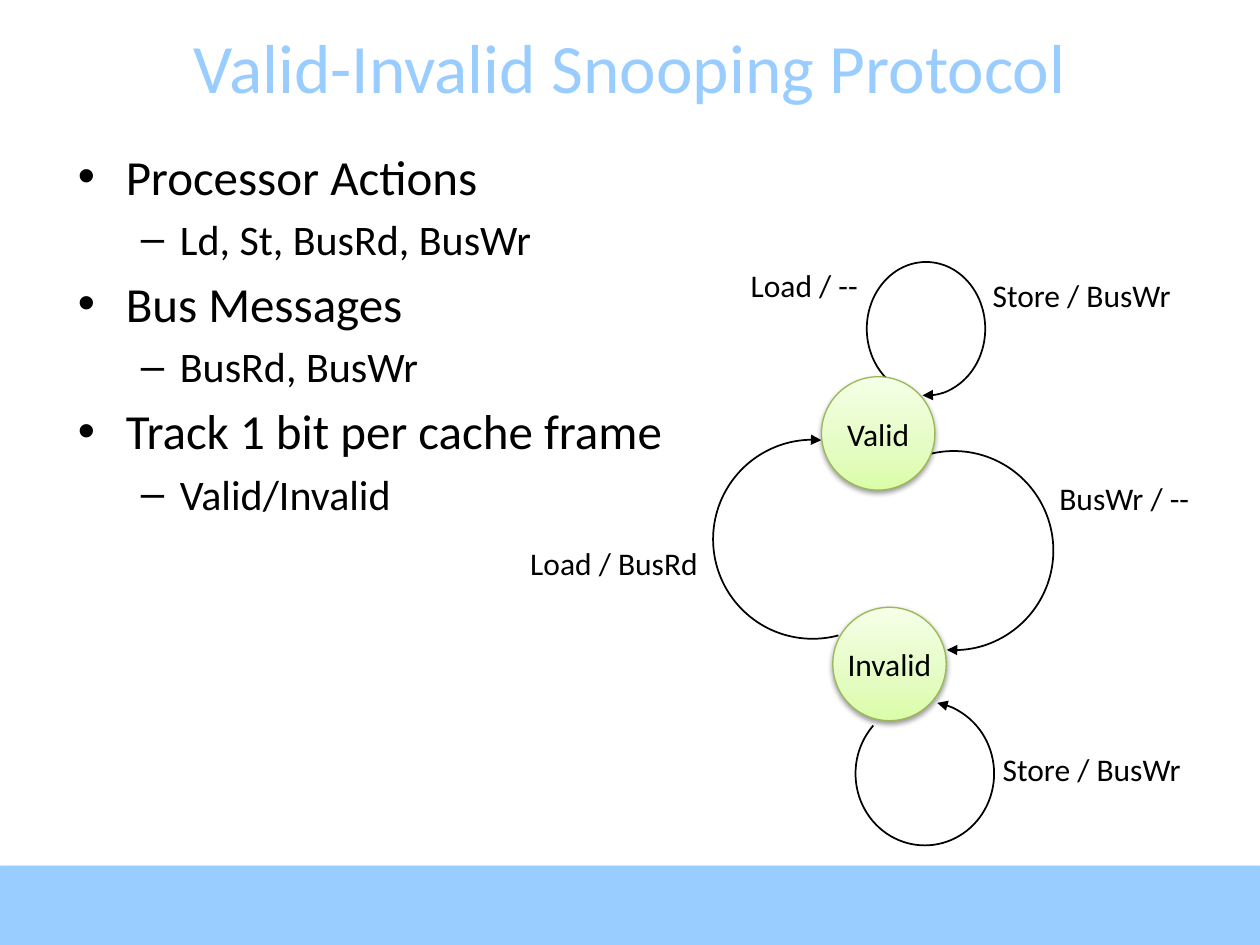
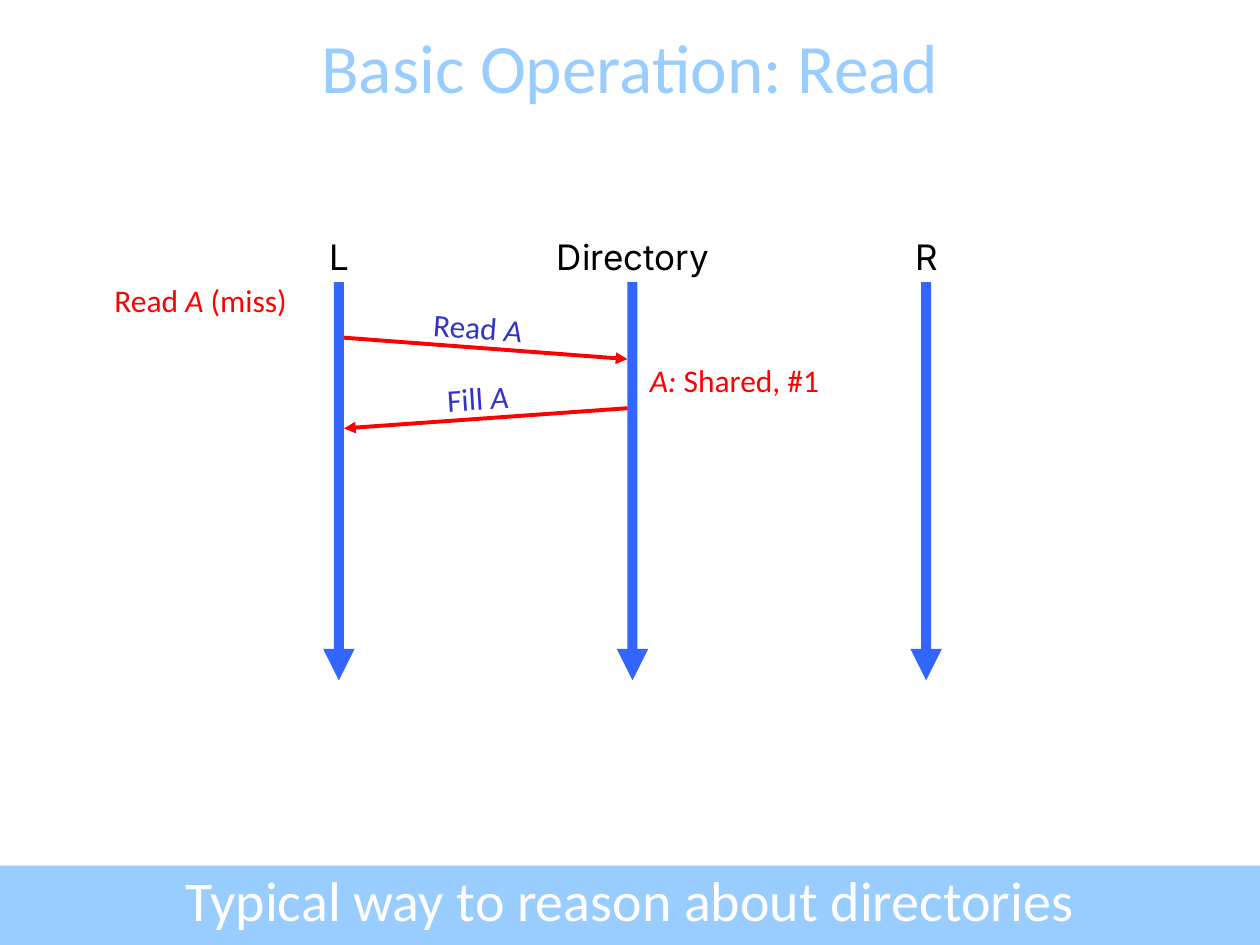
from copy import deepcopy

from lxml.etree import SubElement
from pptx import Presentation
from pptx.dml.color import RGBColor
from pptx.enum.shapes import MSO_CONNECTOR as CONNECTOR, MSO_SHAPE as SHAPE
from pptx.enum.text import MSO_ANCHOR as ANCHOR, MSO_AUTO_SIZE as AUTO_SIZE, PP_ALIGN as ALIGN
from pptx.oxml.ns import qn
from pptx.util import Inches, Pt

# Shared look
SKY, BLACK, WHITE = "99CCFF", "000000", "FFFFFF"
RED, INDIGO, BLUE = "FF0000", "3333CC", "3366FF"
GREEN_LINE = "98B955"
GREEN_STOPS = [(0, "DAFDA7"), (0.35, "E4FCC2"), (1, "F5FFE7")]
BODY_FONT, LABEL_FONT = "Calibri", "Inter"


def rgb(hex_color):
    return RGBColor.from_string(hex_color)


def box(left, top, width, height):
    return [Inches(value) for value in (left, top, width, height)]


def format_run(run, size, color, font=BODY_FONT, italic=False):
    run.font.size = Pt(size)
    run.font.name = font
    run.font.color.rgb = rgb(color)
    run.font.italic = italic


def add_text(slide, place, runs, size=18, color=BLACK, font=BODY_FONT,
             align=ALIGN.LEFT, anchor=ANCHOR.TOP, wrap=True, grow=True):
    """Add one paragraph; a run that starts with * is set in italics."""
    shape = slide.shapes.add_textbox(*box(*place))
    frame = shape.text_frame
    frame.word_wrap = wrap
    frame.auto_size = AUTO_SIZE.SHAPE_TO_FIT_TEXT if grow else AUTO_SIZE.NONE
    frame.vertical_anchor = anchor
    paragraph = frame.paragraphs[0]
    paragraph.alignment = align
    for text in runs:
        run = paragraph.add_run()
        run.text = text.lstrip("*")
        format_run(run, size, color, font, text.startswith("*"))
    return shape


def add_shadow(shape, opacity, blur, distance):
    shape.shadow.inherit = False
    effects = shape._element.spPr.find(qn("a:effectLst"))
    shadow = SubElement(effects, qn("a:outerShdw"), blurRad=str(Pt(blur)),
                        dist=str(Pt(distance)), dir="5400000", rotWithShape="0")
    color = SubElement(shadow, qn("a:srgbClr"), val=BLACK)
    SubElement(color, qn("a:alpha"), val=str(opacity * 1000))


def add_bar(slide, place, color):
    shape = slide.shapes.add_shape(SHAPE.RECTANGLE, *box(*place))
    shape.shadow.inherit = False
    shape.fill.solid()
    shape.fill.fore_color.rgb = rgb(color)
    shape.line.fill.background()
    return shape


def style_line(shape, color, width, arrow_end="tailEnd"):
    shape.line.color.rgb = rgb(color)
    shape.line.width = Pt(width)
    SubElement(shape.line._get_or_add_ln(), qn("a:" + arrow_end), type="triangle")


def add_arrow(slide, start, end, color, width):
    points = [Inches(value) for value in (*start, *end)]
    connector = slide.shapes.add_connector(CONNECTOR.STRAIGHT, *points)
    style_line(connector, color, width)
    SubElement(connector._element.spPr, qn("a:effectLst"))


def add_transition(slide, center, radii, angles, arrow_end="tailEnd"):
    """Draw a clockwise arc between two angles, in degrees from the right."""
    (x, y), (rx, ry) = center, radii
    arc = slide.shapes.add_shape(SHAPE.ARC, *box(x - rx, y - ry, 2 * rx, 2 * ry))
    arc.shadow.inherit = False
    arc.fill.background()
    for index, angle in enumerate(angles):
        arc.adjustments[index] = angle * 0.6  # 60000 units a degree, over 100000
    style_line(arc, BLACK, 1, arrow_end)


def add_state(slide, left, top, name):
    shape = slide.shapes.add_shape(SHAPE.OVAL, *box(left, top, 0.9, 0.9))
    shape.fill.gradient()
    shape.fill.gradient_angle = 90
    stop_list = shape._element.spPr.find(".//" + qn("a:gsLst"))
    stop_list.append(deepcopy(stop_list[0]))
    for stop, (position, color) in zip(shape.fill.gradient_stops, GREEN_STOPS):
        stop.position = position
        stop.color.rgb = rgb(color)
    shape.line.color.rgb = rgb(GREEN_LINE)
    shape.line.width = Pt(0.75)
    add_shadow(shape, 38, 3.1, 1.6)
    frame = shape.text_frame
    frame.text = name
    frame.word_wrap = False
    frame.vertical_anchor = ANCHOR.MIDDLE
    frame.paragraphs[0].alignment = ALIGN.CENTER
    format_run(frame.paragraphs[0].runs[0], 18, BLACK)


def add_bullets(slide, place, items):
    """Add (level, text) items with the bullet style of each level."""
    styles = [("\u2022", 28, 0.38, 0.38), ("\u2013", 24, 0.81, 0.31)]
    frame = slide.shapes.add_textbox(*box(*place)).text_frame
    frame.word_wrap = True
    frame.text = "\n".join(text for _, text in items)
    for paragraph, (level, _) in zip(frame.paragraphs, items):
        bullet, size, margin, hanging = styles[level]
        paragraph.level = level
        paragraph.space_before = Pt(size * 0.2)
        format_run(paragraph.runs[0], size, BLACK)
        properties = paragraph._p.get_or_add_pPr()
        properties.set("marL", str(Inches(margin)))
        properties.set("indent", str(-Inches(hanging)))
        SubElement(properties, qn("a:buFont"), typeface="Arial")
        SubElement(properties, qn("a:buChar"), char=bullet)


def add_slide(presentation, title):
    slide = presentation.slides.add_slide(presentation.slide_layouts[6])
    band = add_bar(slide, (0, 6.87, 10, 0.63), SKY)
    add_shadow(band, 35, 3.1, 1.8)
    add_text(slide, (0, 0.21, 10, 0.63), [title], 39.6, SKY,
             align=ALIGN.CENTER, anchor=ANCHOR.MIDDLE, grow=False)
    return slide


def build_snooping(presentation):
    slide = add_slide(presentation, "Valid-Invalid Snooping Protocol")
    add_bullets(slide, (0.52, 1.11, 9, 5.56), [
        (0, "Processor Actions"), (1, "Ld, St, BusRd, BusWr"),
        (0, "Bus Messages"), (1, "BusRd, BusWr"),
        (0, "Track 1 bit per cache frame"), (1, "Valid/Invalid"),
    ])
    # Transitions between the two states, and loops on each
    add_transition(slide, (7.35, 2.61), (0.47, 0.53), (127, 93))
    add_transition(slide, (7.57, 4.37), (0.79, 0.79), (256, 94))
    add_transition(slide, (7.34, 6.14), (0.55, 0.57), (280, 223), "headEnd")
    add_transition(slide, (6.45, 4.28), (0.79, 0.79), (75, 275))
    for left, top, width, label in [
        (7.78, 2.14, 2.1, "Store / BusWr"),
        (8.31, 3.75, 1.24, "BusWr / --"),
        (7.86, 5.9, 2.1, "Store / BusWr"),
        (4.11, 4.27, 1.99, "Load / BusRd"),
        (5.86, 2.06, 1.34, "Load / --"),
    ]:
        add_text(slide, (left, top, width, 0.4), [label], wrap=False)
    add_state(slide, 6.52, 2.99, "Valid")
    add_state(slide, 6.61, 4.82, "Invalid")


def build_read(presentation):
    slide = add_slide(presentation, "Basic Operation: Read")
    # Time lines, evenly spaced
    for index, name in enumerate(["L", "Directory", "R"]):
        x = 2.69 + 2.33 * index
        add_text(slide, (x - 0.87, 1.82, 1.75, 0.43), [name], 20,
                 font=LABEL_FONT, align=ALIGN.CENTER)
        add_bar(slide, (x - 0.04, 2.24, 0.08, 3), BLUE)
        add_arrow(slide, (x, 5.15), (x, 5.4), BLUE, 6)
    # Messages
    add_arrow(slide, (2.73, 2.68), (4.98, 2.85), RED, 2.25)
    add_arrow(slide, (4.98, 3.24), (2.73, 3.4), RED, 2.25)
    for place, verb, angle in [
        ((3.34, 2.43, 0.92, 0.37), "Read ", 4.3),
        ((3.45, 2.99, 0.69, 0.37), "Fill ", -3.7),
    ]:
        label = add_text(slide, place, [verb, "*A"], color=INDIGO, wrap=False)
        label.text_frame.paragraphs[0].line_spacing = 0.9
        label.rotation = angle
    # Events at the nodes
    add_text(slide, (0.81, 2.18, 2, 0.4), ["Read ", "*A", " (miss)"], color=RED)
    add_text(slide, (5.06, 2.82, 2.25, 0.4), ["*A:", " Shared, #1"], color=RED)
    # Message in the band
    add_text(slide, (0, 6.82, 10, 0.63), ["Typical way to reason about directories"],
             32, WHITE, align=ALIGN.CENTER)


def main():
    presentation = Presentation()
    presentation.slide_width = Inches(10)
    presentation.slide_height = Inches(7.5)
    build_snooping(presentation)
    build_read(presentation)
    presentation.save("out.pptx")


main()
